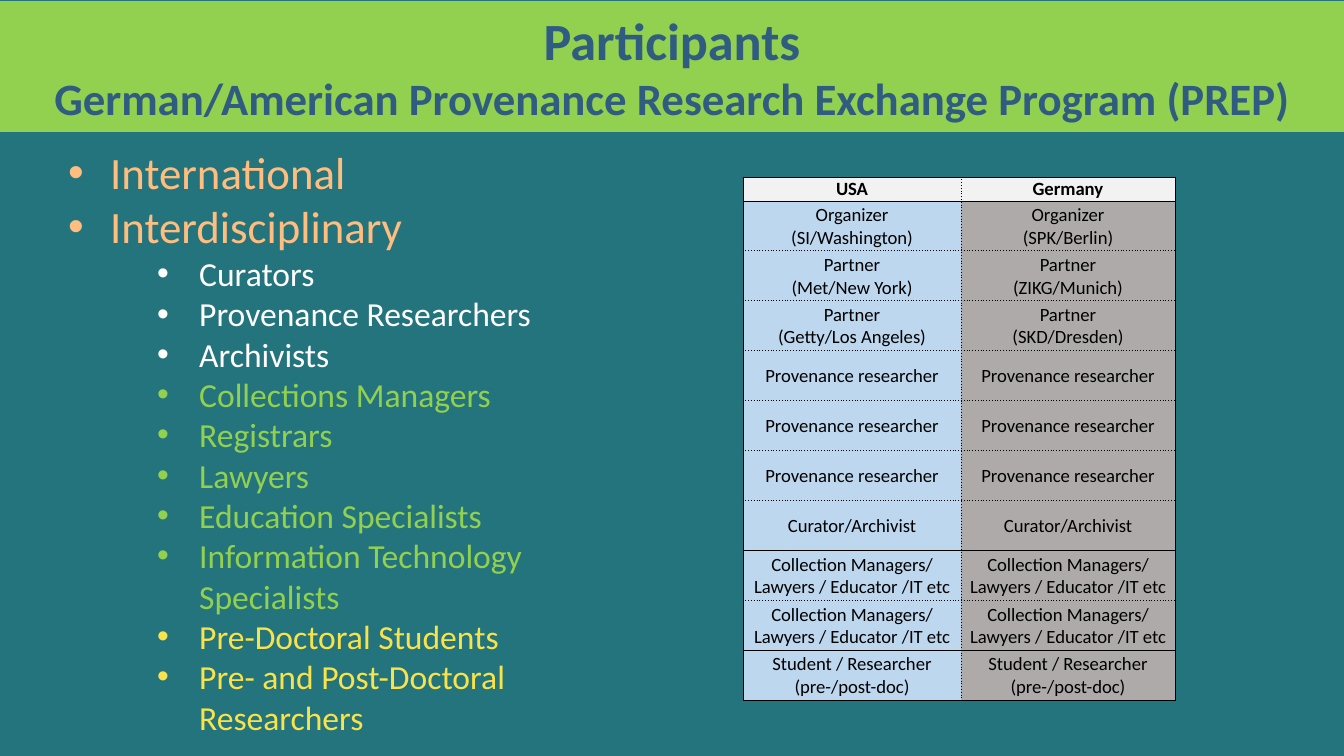
"""Build the slide that lists the participants of the exchange program."""
from copy import deepcopy
from dataclasses import dataclass

from lxml import etree
from pptx import Presentation
from pptx import util as u
from pptx.dml.color import RGBColor
from pptx.enum import text
from pptx.oxml.ns import qn

EMU_PER_PX = 914400 / 134.4
FONT = "Calibri"
NAVY, GREEN, TEAL = "315C81", "92D050", "24747D"
PEACH, WHITE, YELLOW, BLACK = "FFBE7F", "FFFFFF", "F9E34A", "000000"
HEADER_FILL, COLUMN_FILLS = "F2F2F2", ("BDD7EE", "AEAAAA")
SOLID_RULES = {0, 1, 8, 10, 11}
INDENT = 42


@dataclass(frozen=True)
class Box:
    left: int
    top: int
    width: int
    height: int

    def emu(self) -> tuple:
        """Give the four lengths in EMU."""
        return tuple(px(n) for n in (self.left, self.top, self.width, self.height))


@dataclass(frozen=True)
class Group:
    color: str
    items: tuple


@dataclass(frozen=True)
class BulletList:
    box: Box
    top_inset: int
    size: int
    groups: tuple


LISTS = (
    BulletList(Box(144, 173, 482, 574), 80, 18, (
        Group(WHITE, ("Curators", "Provenance Researchers", "Archivists")),
        Group(GREEN, ("Collections Managers", "Registrars", "Lawyers",
                      "Education Specialists", "Information Technology Specialists")),
        Group(YELLOW, ("Pre-Doctoral Students", "Pre- and Post-Doctoral Researchers")),
    )),
    BulletList(Box(55, 97, 453, 285), 48, 24, (
        Group(PEACH, ("International", "Interdisciplinary")),
    )),
)

RESEARCHER = ("Provenance researcher",) * 2
SPECIALISTS = ("Collection Managers/\nLawyers / Educator /IT etc",) * 2
ROWS = (
    ("USA", "Germany"),
    ("Organizer\n(SI/Washington)", "Organizer\n(SPK/Berlin)"),
    ("Partner\n(Met/New York)", "Partner\n(ZIKG/Munich)"),
    ("Partner\n(Getty/Los Angeles)", "Partner\n(SKD/Dresden)"),
    *(RESEARCHER,) * 3,
    ("Curator/Archivist",) * 2,
    *(SPECIALISTS,) * 2,
    ("Student / Researcher\n(pre-/post-doc)",) * 2,
)


def px(count: int) -> u.Emu:
    """Turn px into EMU."""
    return u.Emu(round(count * EMU_PER_PX))


def rgb(value: str) -> RGBColor:
    """Turn a hex string into a colour."""
    return RGBColor.from_string(value)


def write(paragraph, words: str, *, size: int, color: str, bold: bool = False,
          centered: bool = False, bullet: bool = False) -> None:
    """Write formatted words into a paragraph."""
    paragraph.text = words
    paragraph.alignment = text.PP_ALIGN.CENTER if centered else text.PP_ALIGN.LEFT
    if bullet:
        properties = paragraph._p.get_or_add_pPr()
        properties.set("marL", str(px(INDENT)))
        properties.set("indent", str(-px(INDENT)))
        etree.SubElement(properties, qn("a:buFont"), typeface="Arial")
        etree.SubElement(properties, qn("a:buChar"), char="•")
    for run in paragraph.runs:
        run.font.name, run.font.size, run.font.bold = FONT, u.Pt(size), bold
        run.font.color.rgb = rgb(color)
    for line_break in paragraph._p.findall(qn("a:br")):
        line_break.append(deepcopy(paragraph.runs[0]._r.rPr))


def next_paragraph(frame, index: int):
    """Give the first paragraph of a frame, or a new one."""
    return frame.add_paragraph() if index else frame.paragraphs[0]


def draw_title(slide) -> None:
    """Format the title placeholder as a full-width band."""
    title = slide.shapes.title
    title.left, title.top, title.width, title.height = Box(0, 1, 1344, 131).emu()
    title.fill.solid()
    title.fill.fore_color.rgb = rgb(GREEN)
    frame = title.text_frame
    frame.auto_size = text.MSO_AUTO_SIZE.NONE
    frame.vertical_anchor = text.MSO_ANCHOR.MIDDLE
    lines = (("Participants", 28),
             ("German/American Provenance Research Exchange Program (PREP)", 24))
    for index, (words, size) in enumerate(lines):
        write(next_paragraph(frame, index), words, size=size, color=NAVY,
              bold=True, centered=True)


def draw_list(slide, bullets: BulletList) -> None:
    """Draw a bulleted list whose groups differ in colour."""
    frame = slide.shapes.add_textbox(*bullets.box.emu()).text_frame
    frame.word_wrap = True
    frame.margin_top = px(bullets.top_inset)
    entries = [(item, group.color) for group in bullets.groups for item in group.items]
    for index, (item, color) in enumerate(entries):
        write(next_paragraph(frame, index), item, size=bullets.size, color=color,
              bullet=True)


def draw_borders(cell, row: int, column: int) -> None:
    """Rule a cell with solid outer and section lines and dotted inner ones."""
    solid = {"lnL": column == 0, "lnR": column == 1,
             "lnT": row in SOLID_RULES, "lnB": row + 1 in SOLID_RULES}
    for index, (side, is_solid) in enumerate(solid.items()):
        line = etree.Element(qn(f"a:{side}"), w=str(u.Pt(0.5)))
        fill = etree.SubElement(line, qn("a:solidFill"))
        etree.SubElement(fill, qn("a:srgbClr"), val=BLACK)
        etree.SubElement(line, qn("a:prstDash"), val="solid" if is_solid else "dot")
        cell._tc.get_or_add_tcPr().insert(index, line)


def draw_table(slide) -> None:
    """Draw the table of participants by country."""
    table = slide.shapes.add_table(len(ROWS), 2, *Box(743, 177, 432, 524).emu()).table
    table.first_row = table.horz_banding = False
    for column, width in zip(table.columns, (218, 214)):
        column.width = px(width)
    for r, entries in enumerate(ROWS):
        table.rows[r].height = px(50 if r else 24)
        for c, words in enumerate(entries):
            cell = table.cell(r, c)
            cell.margin_left = cell.margin_right = cell.margin_top = px(1)
            cell.margin_bottom = 0
            cell.vertical_anchor = text.MSO_ANCHOR.MIDDLE
            cell.fill.solid()
            cell.fill.fore_color.rgb = rgb(COLUMN_FILLS[c] if r else HEADER_FILL)
            draw_borders(cell, r, c)
            write(cell.text_frame.paragraphs[0], words, size=10, color=BLACK,
                  bold=r == 0, centered=True)


def main() -> None:
    """Build and save the slide."""
    deck = Presentation()
    deck.slide_width, deck.slide_height = px(1344), px(756)
    slide = deck.slides.add_slide(deck.slide_layouts[5])
    slide.background.fill.solid()
    slide.background.fill.fore_color.rgb = rgb(TEAL)
    draw_title(slide)
    for bullets in LISTS:
        draw_list(slide, bullets)
    draw_table(slide)
    deck.save("out.pptx")


if __name__ == "__main__":
    main()
